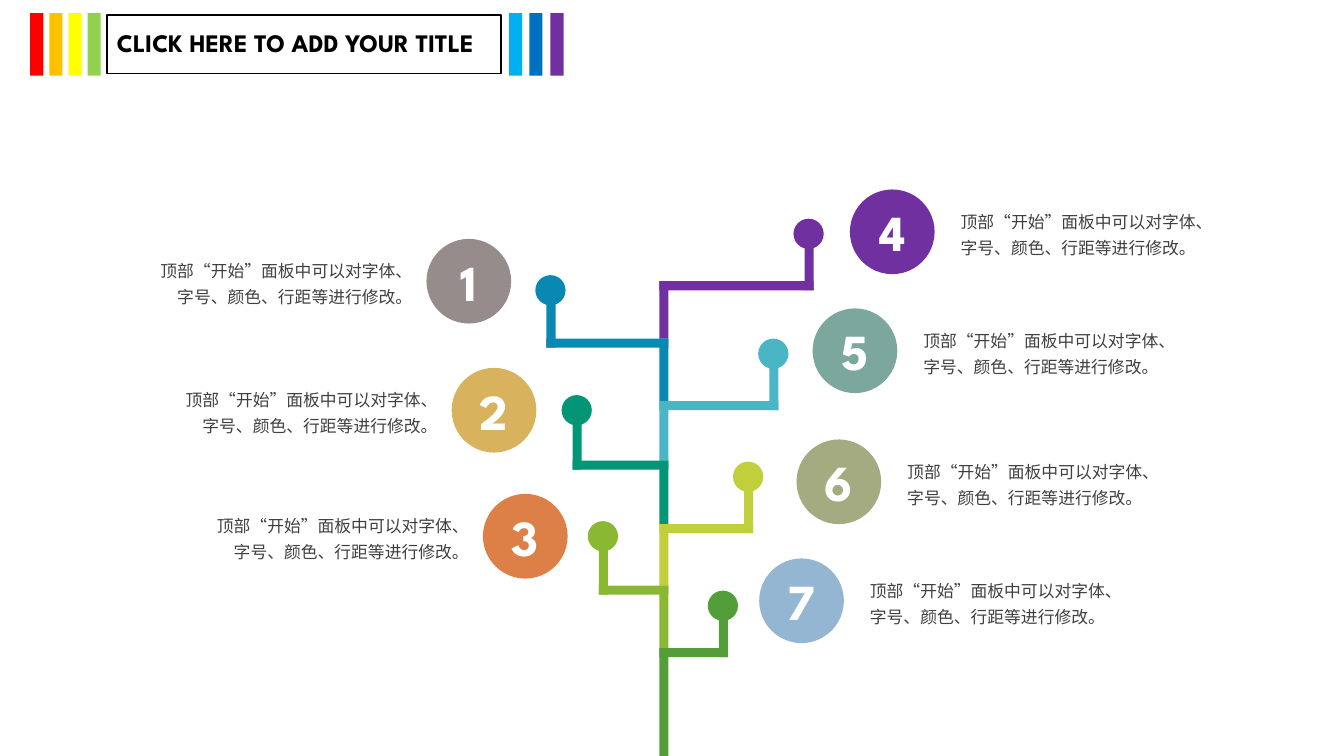
from lxml import etree
from pptx import Presentation
from pptx.dml.color import RGBColor
from pptx.enum.shapes import MSO_SHAPE
from pptx.enum.text import MSO_ANCHOR, MSO_AUTO_SIZE, PP_ALIGN
from pptx.oxml.ns import qn
from pptx.util import Pt

RECTANGLE, OVAL = MSO_SHAPE.RECTANGLE, MSO_SHAPE.OVAL
MIDDLE = MSO_ANCHOR.MIDDLE
NO_FIT, GROW = MSO_AUTO_SIZE.NONE, MSO_AUTO_SIZE.SHAPE_TO_FIT_TEXT
LEFT, CENTER, RIGHT = PP_ALIGN.LEFT, PP_ALIGN.CENTER, PP_ALIGN.RIGHT
PX = 9144

THEME = {
    "display_font": "League Spartan",
    "body_font": "Noto Sans CJK SC",
    "title_size": 18,
    "number_size": 36,
    "body_size": 12,
    "title": "000000",
    "number": "FFFFFF",
    "body": "404040",
    "stripes": ["FF0000", "FFC000", "FFFF00", "92D050", "00B0F0", "0070C0", "7030A0"],
    "branches": ["7030A0", "0989B1", "4AB5C4", "029676", "C0CF3A", "8AB833", "549E39"],
    "circles": ["968C8C", "D8B25C", "DD8047", "7030A0", "7BA79D", "A5AB81", "94B6D2"],
}


def add_filled(kind, left, top, width, height, color):
    shape = slide.shapes.add_shape(kind, left * PX, top * PX, width * PX, height * PX)
    shape.shadow.inherit = False
    shape.fill.solid()
    shape.fill.fore_color.rgb = RGBColor.from_string(color)
    shape.line.fill.background()
    return shape


def write_text(shape, text, role, font_name, alignment, bold):
    shape.text_frame.text = text
    paragraph = shape.text_frame.paragraphs[0]
    paragraph.alignment = alignment
    paragraph.font.name = font_name
    paragraph.font.size = Pt(THEME[role + "_size"])
    paragraph.font.bold = bold
    paragraph.font.color.rgb = RGBColor.from_string(THEME[role])
    defaults = paragraph._p.pPr.find(qn("a:defRPr"))
    etree.SubElement(defaults, qn("a:ea")).set("typeface", font_name)
    return paragraph


presentation = Presentation()
presentation.slide_width = 1333 * PX
presentation.slide_height = 750 * PX
slide = presentation.slides.add_slide(presentation.slide_layouts[5])

for left, color in zip([30, 49, 68, 87, 505, 525, 546], THEME["stripes"]):
    add_filled(RECTANGLE, left, 13, 13, 62, color)

title = slide.shapes.title
title.left, title.top, title.width, title.height = 106 * PX, 15 * PX, 391 * PX, 58 * PX
title.line.color.rgb = RGBColor.from_string(THEME["title"])
title.line.width = Pt(1)
title.text_frame.auto_size = NO_FIT
title.text_frame.vertical_anchor = MIDDLE
title_paragraph = write_text(title, "CLICK HERE TO ADD YOUR TITLE", "title",
                             THEME["display_font"], LEFT, True)
title_paragraph.line_spacing = 0.9

TRUNK, THICKNESS, DOT = 654, 9, 30
joints = [279, 336, 398, 457, 520, 581, 643, 750]
stems = [798, 542, 763, 568, 738, 594, 713]
dot_tops = [217, 273, 336, 392, 458, 517, 586]
for index, color in enumerate(THEME["branches"]):
    joint, stem, dot_top = joints[index], stems[index], dot_tops[index]
    stem_top = dot_top + DOT // 2
    bar_width = abs(stem - TRUNK) + THICKNESS
    add_filled(RECTANGLE, TRUNK, joint, THICKNESS, joints[index + 1] - joint, color)
    add_filled(RECTANGLE, min(stem, TRUNK), joint, bar_width, THICKNESS, color)
    add_filled(RECTANGLE, stem, stem_top, THICKNESS, joint + THICKNESS - stem_top, color)
    add_filled(OVAL, stem - 11, dot_top, DOT, DOT, color)

DESCRIPTION = "顶部“开始”面板中可以对字体、字号、颜色、行距等进行修改。"
circle_places = [(423, 237), (448, 365), (479, 490), (843, 188), (806, 306), (790, 436), (753, 554)]
for number, (left, top) in enumerate(circle_places, start=1):
    circle = add_filled(OVAL, left, top, 84, 84, THEME["circles"][number - 1])
    circle.text_frame.vertical_anchor = MIDDLE
    write_text(circle, str(number), "number", THEME["display_font"], CENTER, True)

    on_left = left < TRUNK
    offset, width, alignment = (-277, 273, RIGHT) if on_left else (100, 277, LEFT)
    description = slide.shapes.add_textbox((left + offset) * PX, (top + 11) * PX, width * PX, 63 * PX)
    description.text_frame.word_wrap = True
    description.text_frame.auto_size = GROW
    paragraph = write_text(description, DESCRIPTION, "body", THEME["body_font"], alignment, False)
    paragraph.line_spacing = 1.3

presentation.save("out.pptx")
